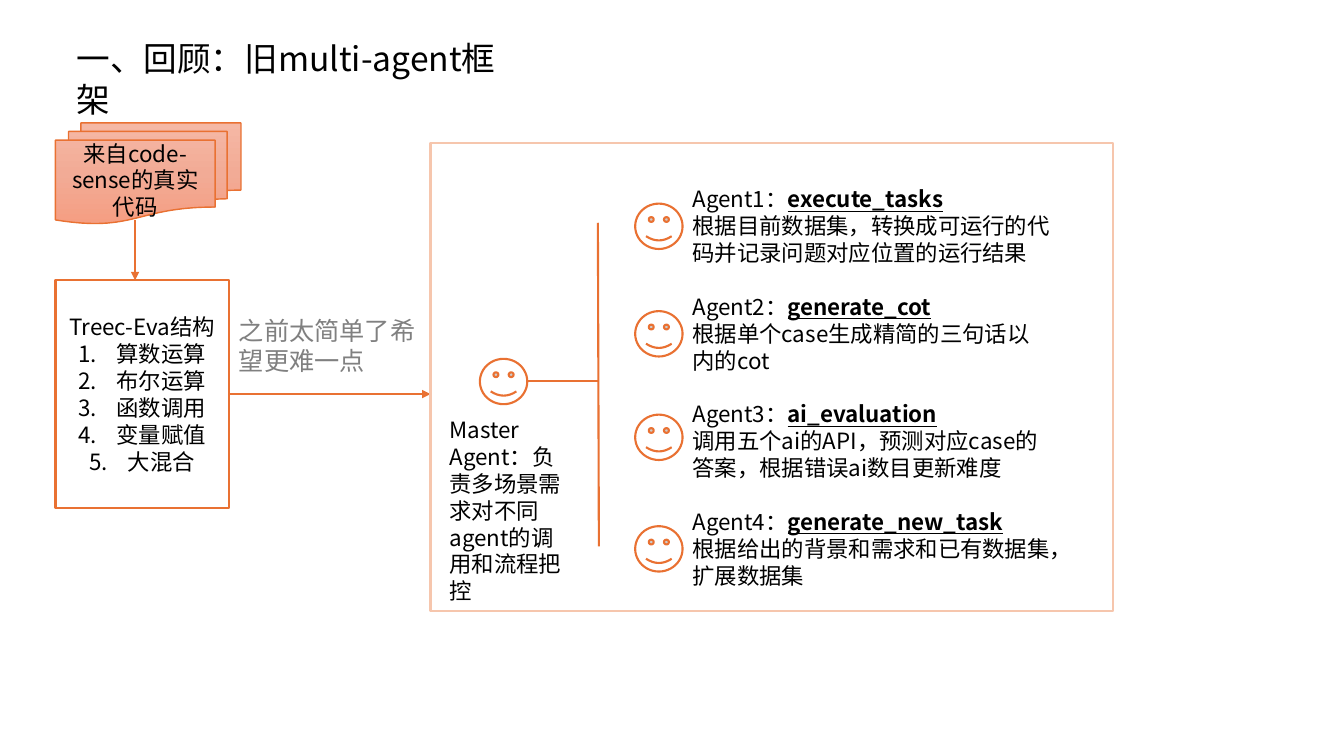
import copy
import pptx
import pptx.util
import pptx.dml.color
import pptx.enum.shapes
import pptx.enum.text
import pptx.oxml
import pptx.oxml.ns

Inches = pptx.util.Inches
Kind = pptx.enum.shapes.MSO_SHAPE
Align = pptx.enum.text.PP_ALIGN
Anchor = pptx.enum.text.MSO_ANCHOR
qn = pptx.oxml.ns.qn
FACE = "Noto Sans CJK SC"
ORANGE = "E97132"
WIDE, HIGH = 0.47, 0.45
MARK = {"bold": True, "underline": True}


def hue(code):
    return pptx.dml.color.RGBColor.from_string(code)


def apply(thing, form):
    for key, value in form.items():
        setattr(thing, key, value)


def node(home, tag, **attrs):
    part = pptx.oxml.parse_xml(f"<a:{tag} {pptx.oxml.ns.nsdecls('a')}/>")
    for key, value in attrs.items():
        part.set(key, str(value))
    home.append(part)


def write(frame, paras, size=16, color="000000", align=Align.LEFT):
    frame.word_wrap = True
    for i, runs in enumerate(paras):
        para = frame.paragraphs[0] if i == 0 else frame.add_paragraph()
        para.alignment = align
        for words, form in runs:
            run = para.add_run()
            run.text = words
            apply(run.font, {"name": FACE, "size": pptx.util.Pt(size), **form})
            run.font.color.rgb = hue(color)
            node(run.font._element, "ea", typeface=FACE)


def label(slide, box, paras, **style):
    frame = slide.shapes.add_textbox(*map(Inches, box)).text_frame
    write(frame, paras, **style)


def shape(slide, kind, box, line=ORANGE, width=1.5):
    item = slide.shapes.add_shape(kind, *map(Inches, box))
    item.shadow.inherit = False
    item.fill.solid()
    item.fill.fore_color.rgb = hue("FFFFFF")
    item.line.color.rgb = hue(line)
    item.line.width = pptx.util.Pt(width)
    return item


def link(slide, start, end, arrow=False):
    line = slide.shapes.add_connector(
        pptx.enum.shapes.MSO_CONNECTOR.STRAIGHT, *map(Inches, start + end))
    line.line.color.rgb = hue(ORANGE)
    line.line.width = pptx.util.Pt(1.5)
    if arrow:
        node(line.line._get_or_add_ln(), "tailEnd", type="triangle")
    node(line._element.spPr, "effectLst")


def shade(item, codes):
    item.fill.gradient()
    item.fill.gradient_angle = 270
    first = item._element.spPr.find(qn("a:gradFill")).find(qn("a:gsLst"))[0]
    first.addnext(copy.deepcopy(first))
    for i, (stop, code) in enumerate(zip(item.fill.gradient_stops, codes)):
        stop.position = i / (len(codes) - 1)
        stop.color.rgb = hue(code)


def source(slide, left, top):
    docs = shape(slide, Kind.FLOWCHART_MULTIDOCUMENT, (left, top, 1.84, 1), width=1)
    shade(docs, ("F5B8A5", "F2AB96", "F59E82"))
    docs.text_frame.vertical_anchor = Anchor.MIDDLE
    write(docs.text_frame, [[("来自code-sense的真实代码", {})]], align=Align.CENTER)
    link(slide, (left + 0.79, top + 0.96), (left + 0.79, top + 1.56), arrow=True)


def topics(slide, left, top, width, height):
    card = shape(slide, Kind.RECTANGLE, (left, top, width, height))
    frame = card.text_frame
    frame.vertical_anchor = Anchor.MIDDLE
    names = ("Treec-Eva结构", "算数运算", "布尔运算", "函数调用", "变量赋值", "大混合")
    write(frame, [[(name, {})] for name in names], align=Align.CENTER)
    for para in frame.paragraphs[1:]:
        props = para._p.get_or_add_pPr()
        props.set("marL", str(Inches(0.38)))
        props.set("indent", str(Inches(-0.38)))
        node(props, "buFont", typeface="+mj-lt")
        node(props, "buAutoNum", type="arabicPeriod")
    right, mid = left + width, top + height / 2
    label(slide, (right, top + 0.3, 1.99, 0.71),
          [[("之前太简单了希望更难一点", {})]], size=18, color="808080")
    link(slide, (right, mid), (right + 2, mid), arrow=True)


def agent(slide, left, top, drop, head, name, duty):
    shape(slide, Kind.SMILEY_FACE, (left, top + drop, WIDE, HIGH))
    label(slide, (left + WIDE, top, 3.76, 0.91),
          [[(head, {}), (name, MARK)], [(duty, {})]])


def team(slide, left, top, width, height):
    shape(slide, Kind.RECTANGLE, (left, top, width, height), line="F6C6AD")
    crew = (
        (0.23, "execute_tasks", "根据目前数据集，转换成可运行的代码并记录问题对应位置的运行结果"),
        (0.23, "generate_cot", "根据单个case生成精简的三句话以内的cot"),
        (0.19, "ai_evaluation", "调用五个ai的API，预测对应case的答案，根据错误ai数目更新难度"),
        (0.23, "generate_new_task", "根据给出的背景和需求和已有数据集，扩展数据集"),
    )
    for i, (drop, name, duty) in enumerate(crew):
        agent(slide, left + 2.03, top + 0.37 + i * 3.2 / 3, drop,
              f"Agent{i + 1}：", name, duty)
    shape(slide, Kind.SMILEY_FACE, (left + 0.49, top + 2.14, WIDE, HIGH))
    label(slide, (left + 0.09, top + 2.66, 1.34, 1.98),
          [[("Master Agent：负责多场景需求对不同agent的调用和流程把控", {})]])
    stem = left + 1.66
    link(slide, (left + 0.96, top + 2.36), (stem, top + 2.36))
    link(slide, (stem, top + 0.79), (stem + 0.01, top + 4))


def main():
    deck = pptx.Presentation()
    apply(deck, {"slide_width": Inches(13.33), "slide_height": Inches(7.5)})
    slide = deck.slides.add_slide(deck.slide_layouts[6])
    label(slide, (0.66, 0.33, 4.57, 0.5),
          [[("一、回顾：旧multi-agent框架", {})]], size=24)
    source(slide, 0.55, 1.22)
    topics(slide, 0.55, 2.78, 1.72, 2.26)
    team(slide, 4.27, 1.42, 6.77, 4.64)
    deck.save("out.pptx")


if __name__ == "__main__":
    main()
